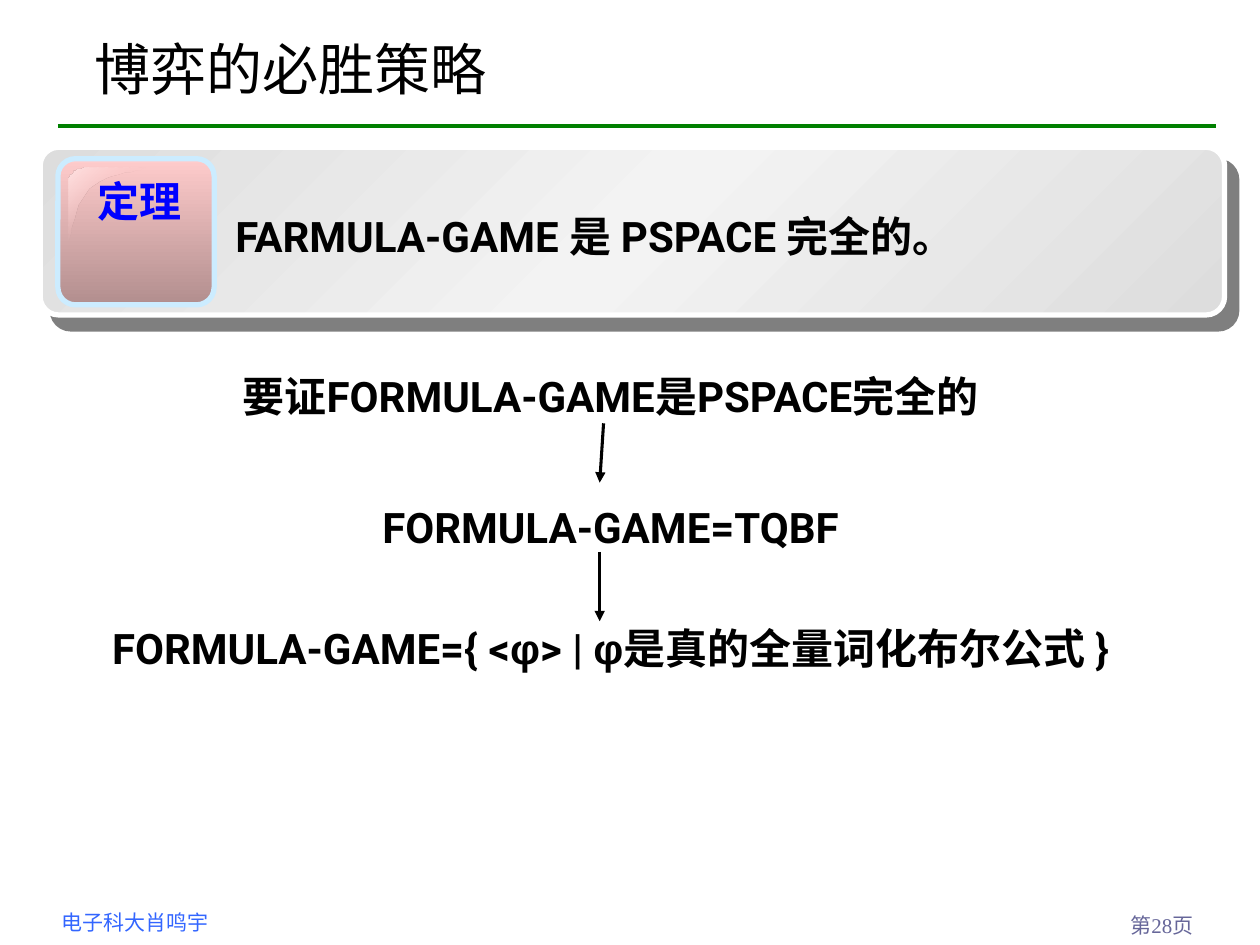
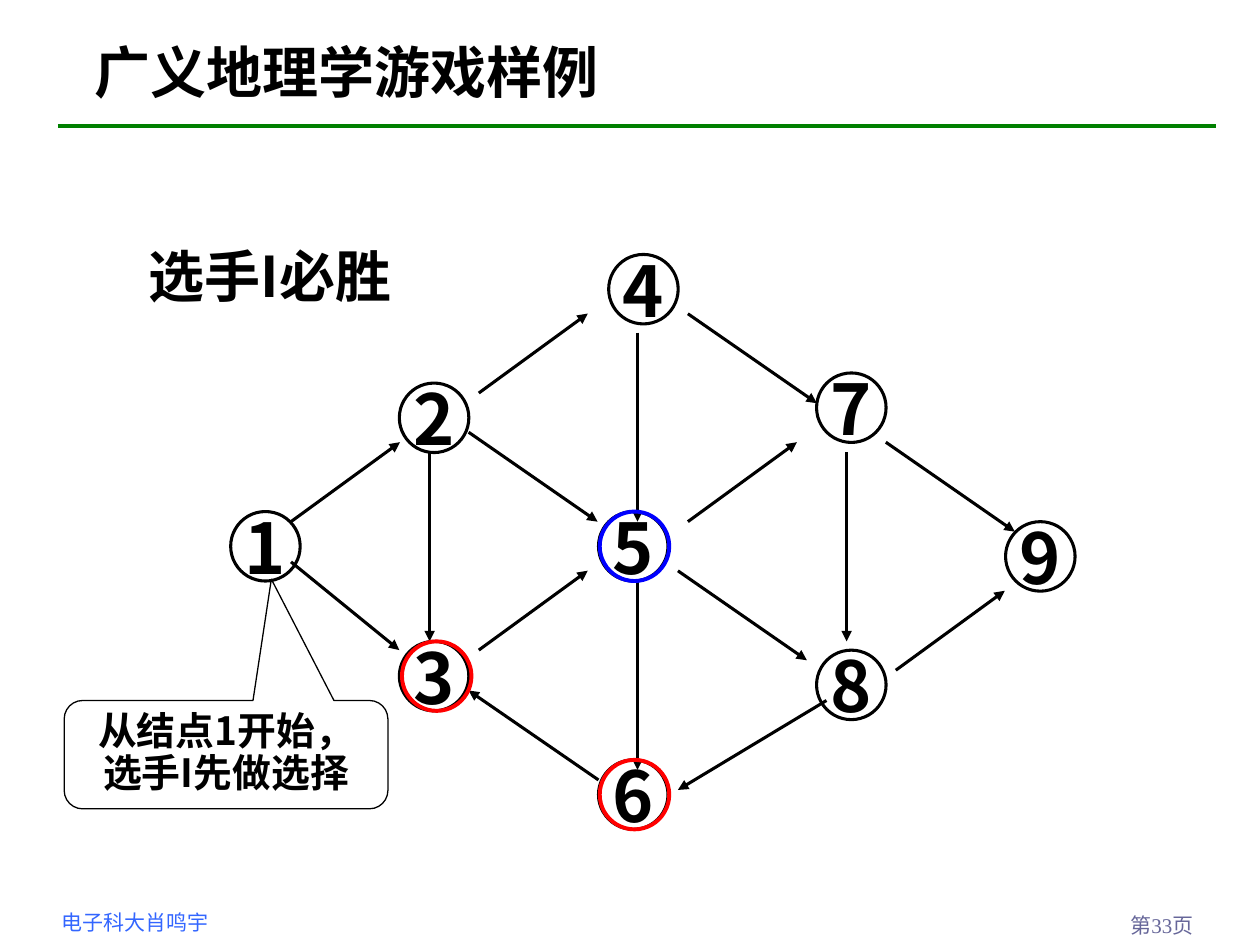
from copy import deepcopy

from lxml.etree import SubElement
from pptx import Presentation
from pptx.dml.color import RGBColor
from pptx.enum.shapes import MSO_CONNECTOR as Connector, MSO_SHAPE as Shape
from pptx.enum.text import MSO_ANCHOR as Anchor, MSO_AUTO_SIZE as AutoSize, PP_ALIGN as Align
from pptx.oxml.ns import qn
from pptx.util import Pt

CJK = "Noto Sans CJK SC"
BLACK, WHITE, GREEN = "000000", "FFFFFF", "008000"
RED, BLUE = "FF0000", "0000FF"
TITLE_ONLY = 5
NODE_SIZE = 39.7

NODES = {
    "1": (131.8, 292.3), "2": (228.2, 218.9), "3": (228.2, 366.5),
    "4": (347.8, 145.4), "5": (342, 292.3), "6": (342, 434.2),
    "7": (466.6, 213.1), "8": (466.6, 371.5), "9": (574.6, 298.1),
}
ARROWS = {
    (62.3, -45.4): [(166.3, 298.1), (273.6, 224.6), (273.6, 371.5),
                    (393.1, 298.1), (511.9, 383)],
    (73.7, 51.1): [(393.1, 179.3), (506.2, 252.7), (267.8, 247), (387.4, 326.2)],
    (0, 108): [(245.5, 258.5), (364.3, 190.1), (364.3, 331.9), (483.8, 258.5)],
    (61.9, 50.4): [(166.3, 321.1)],
    (-84.9, 51.1): [(472.3, 400.3)],
    (-74.2, -51.1): [(342, 445.7)],
}
RINGS = [(229.7, 366.5, RED), (342.7, 292.3, BLUE), (342.7, 434.2, RED)]


def color(value):
    return RGBColor.from_string(value)


def points(*lengths):
    return [Pt(length) for length in lengths]


def style(paragraph, size, font=CJK, ink=BLACK, bold=False, align=Align.LEFT, spacing=None):
    paragraph.alignment = align
    if spacing:
        paragraph.line_spacing = spacing
    paragraph.font.name = font
    paragraph.font.size = Pt(size)
    paragraph.font.bold = bold
    paragraph.font.color.rgb = color(ink)
    defaults = paragraph._p.pPr.find(qn("a:defRPr"))
    SubElement(defaults, qn("a:ea")).set("typeface", CJK)


def add_text(slide, box, text, size, **look):
    shape = slide.shapes.add_textbox(*points(*box))
    frame = shape.text_frame
    frame.word_wrap = True
    frame.auto_size = AutoSize.NONE
    frame.text = text
    style(frame.paragraphs[0], size, **look)
    return frame


def add_line(slide, start, end, ink=BLACK, width=1.75, arrow=True):
    line = slide.shapes.add_connector(Connector.STRAIGHT, *points(*start, *end))
    line.line.color.rgb = color(ink)
    line.line.width = Pt(width)
    if arrow:
        SubElement(line.line._get_or_add_ln(), qn("a:tailEnd")).set("type", "triangle")
    SubElement(line._element.spPr, qn("a:effectLst"))


def add_outline(slide, kind, box, ink=BLACK, width=1.75):
    shape = slide.shapes.add_shape(kind, *points(*box))
    shape.shadow.inherit = False
    shape.fill.background()
    shape.line.color.rgb = color(ink)
    shape.line.width = Pt(width)
    return shape


def fill_gradient(shape, colors, angle, clear_stop=None):
    fill = shape.fill
    fill.gradient()
    fill.gradient_angle = 360 - angle
    stop_list = shape._element.spPr.find(qn("a:gradFill")).find(qn("a:gsLst"))
    while len(stop_list) < len(colors):
        stop_list.append(deepcopy(stop_list[0]))
    for index, (stop, value) in enumerate(zip(fill.gradient_stops, colors)):
        stop.position = index / (len(colors) - 1)
        stop.color.rgb = color(value)
        if index == clear_stop:
            SubElement(stop_list[index][0], qn("a:alpha")).set("val", "0")


def add_shadow(shape, distance, angle):
    effects = shape._element.spPr.find(qn("a:effectLst"))
    shadow = SubElement(effects, qn("a:outerShdw"), blurRad="0", dist=str(Pt(distance)),
                        dir=str(angle * 60000), algn="ctr", rotWithShape="0")
    ink = SubElement(shadow, qn("a:srgbClr"), val=BLACK)
    SubElement(ink, qn("a:alpha"), val="50000")


def curve(start, first, second, end, steps=12):
    result = []
    for step in range(1, steps + 1):
        t = step / steps
        weights = ((1 - t) ** 3, 3 * t * (1 - t) ** 2, 3 * t * t * (1 - t), t ** 3)
        result.append(tuple(sum(weight * point[axis] for weight, point
                                in zip(weights, (start, first, second, end)))
                            for axis in (0, 1)))
    return result


def add_highlight(slide):
    top, corner, bottom, tip = (47.5, 96.5), (38.9, 104.4), (38.9, 137.5), (82.8, 96.5)
    middle = (51.1, 108)
    outline = curve(top, (43.2, 96.5), (38.9, 100.1), corner) + [bottom]
    outline += curve(bottom, (41, 138.2), (40.3, 118.1), middle)
    outline += curve(middle, (61.9, 98.6), (83.5, 97.9), tip)
    builder = slide.shapes.build_freeform(*top, scale=Pt(1))
    builder.add_line_segments(outline, close=True)
    highlight = builder.convert_to_shape()
    highlight.shadow.inherit = False
    highlight.line.fill.background()
    fill_gradient(highlight, ["FFE3E3", "FFCCCC", "FFE3E3"], 45, clear_stop=1)


def add_slide(presentation, title, page, bold=False, anchor=Anchor.MIDDLE):
    slide = presentation.slides.add_slide(presentation.slide_layouts[TITLE_ONLY])
    add_text(slide, (28.1, 516.2, 144.7, 21.6), "电子科大肖鸣宇", 12, font="Arial", ink="3366FF")
    add_line(slide, (33.1, 72), (694.8, 72), GREEN, 2.25, arrow=False)
    add_text(slide, (626.4, 517.7, 62.6, 22.3), f"第{page}页", 12,
             font="Times New Roman", ink="666699", align=Align.RIGHT)
    heading = slide.shapes.title
    heading.left, heading.top, heading.width, heading.height = points(46.8, 15.1, 635.8, 48.2)
    frame = heading.text_frame
    frame.text = title
    frame.vertical_anchor = anchor
    frame.auto_size = AutoSize.NONE
    style(frame.paragraphs[0], 32, bold=bold)
    return slide


def add_theorem(slide):
    panel = add_outline(slide, Shape.ROUNDED_RECTANGLE, (23, 84.2, 676.8, 95.8), WHITE, 3)
    panel.adjustments[0] = 0.11
    fill_gradient(panel, ["DDDDDD", "F3F3F3", "DDDDDD"], 45)
    add_shadow(panel, 10.6, 49)
    badge = add_outline(slide, Shape.ROUNDED_RECTANGLE, (33.1, 90.7, 89.3, 83.5), "CCECFF", 3)
    badge.adjustments[0] = 0.12
    fill_gradient(badge, ["FFCCCC", "B28E8E"], 90)
    add_highlight(slide)
    add_text(slide, (46.1, 96.5, 67.7, 36), "定理", 24, ink=BLUE, bold=True, align=Align.CENTER)
    add_text(slide, (127.4, 112.3, 544.3, 40.3), "FARMULA-GAME 是 PSPACE 完全的。", 24,
             font="Roboto", bold=True, spacing=1.15)


def add_proof(slide):
    look = dict(font="Roboto", bold=True, align=Align.CENTER, spacing=1.15)
    frame = add_text(slide, (31, 203.8, 635.8, 190.8), "要证FORMULA-GAME是PSPACE完全的", 24, **look)
    steps = [(42, ["FORMULA-GAME=TQBF"]),
             (36, ["FORMULA-GAME={ <", "φ", "> | ", "φ", "是真的全量词化布尔公式 }"])]
    for gap, pieces in steps:
        paragraph = frame.add_paragraph()
        paragraph.space_before = Pt(gap)
        style(paragraph, 24, **look)
        for piece in pieces:
            run = paragraph.add_run()
            run.text = piece
            if piece == "φ":
                run.font.name = "Arial"
    add_line(slide, (344.9, 241.9), (342.7, 275.8))
    add_line(slide, (342.7, 315.4), (342.7, 355))


def add_node(slide, label, left, top):
    node = add_outline(slide, Shape.OVAL, (left, top, NODE_SIZE, NODE_SIZE))
    frame = node.text_frame
    frame.word_wrap = False
    frame.vertical_anchor = Anchor.MIDDLE
    frame.text = label
    style(frame.paragraphs[0], 40, bold=True, align=Align.CENTER)


def add_callout(slide):
    callout = add_outline(slide, Shape.ROUNDED_RECTANGULAR_CALLOUT,
                          (36.7, 400.3, 185, 61.9), width=0.75)
    for index, value in enumerate((0.14, -1.62, 0.17)):
        callout.adjustments[index] = value
    frame = callout.text_frame
    frame.word_wrap = True
    frame.vertical_anchor = Anchor.TOP
    frame.text = "从结点1开始，选手I先做选择"
    style(frame.paragraphs[0], 22.2, bold=True, align=Align.CENTER, spacing=0.9)


def add_game_graph(slide):
    for label, position in NODES.items():
        add_node(slide, label, *position)
    for (across, down), starts in ARROWS.items():
        for left, top in starts:
            add_line(slide, (left, top), (left + across, top + down))
    add_callout(slide)
    for left, top, ink in RINGS:
        add_outline(slide, Shape.OVAL, (left, top, NODE_SIZE, NODE_SIZE), ink, 2.25)


def main():
    presentation = Presentation()
    presentation.slide_width, presentation.slide_height = points(720, 540)

    strategy = add_slide(presentation, "博弈的必胜策略", 28)
    add_theorem(strategy)
    add_proof(strategy)

    geography = add_slide(presentation, "广义地理学游戏样例", 33, bold=True, anchor=Anchor.BOTTOM)
    add_text(geography, (77.8, 134.6, 180, 46.1), "选手I必胜", 32, bold=True)
    add_game_graph(geography)

    presentation.save("out.pptx")


if __name__ == "__main__":
    main()
